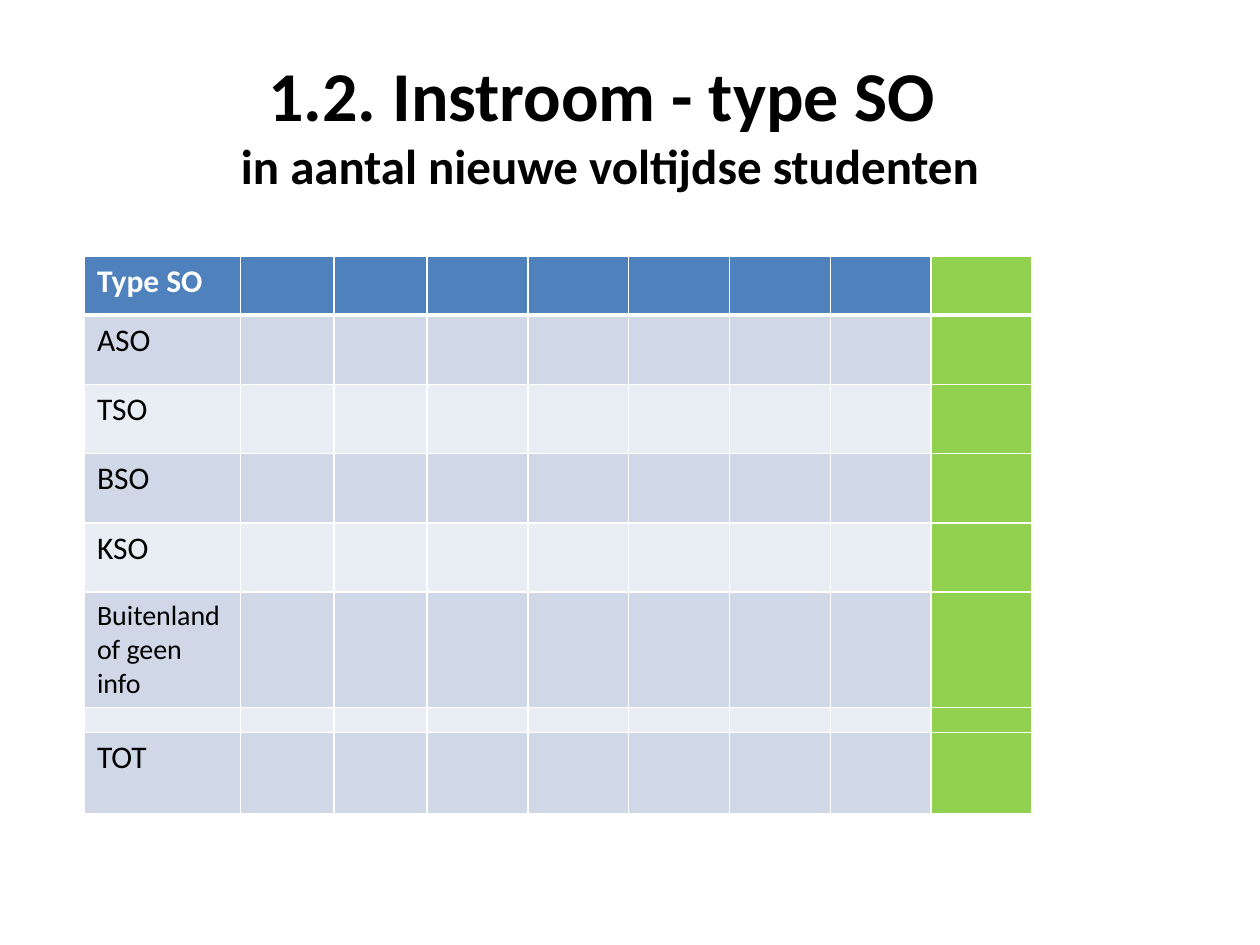
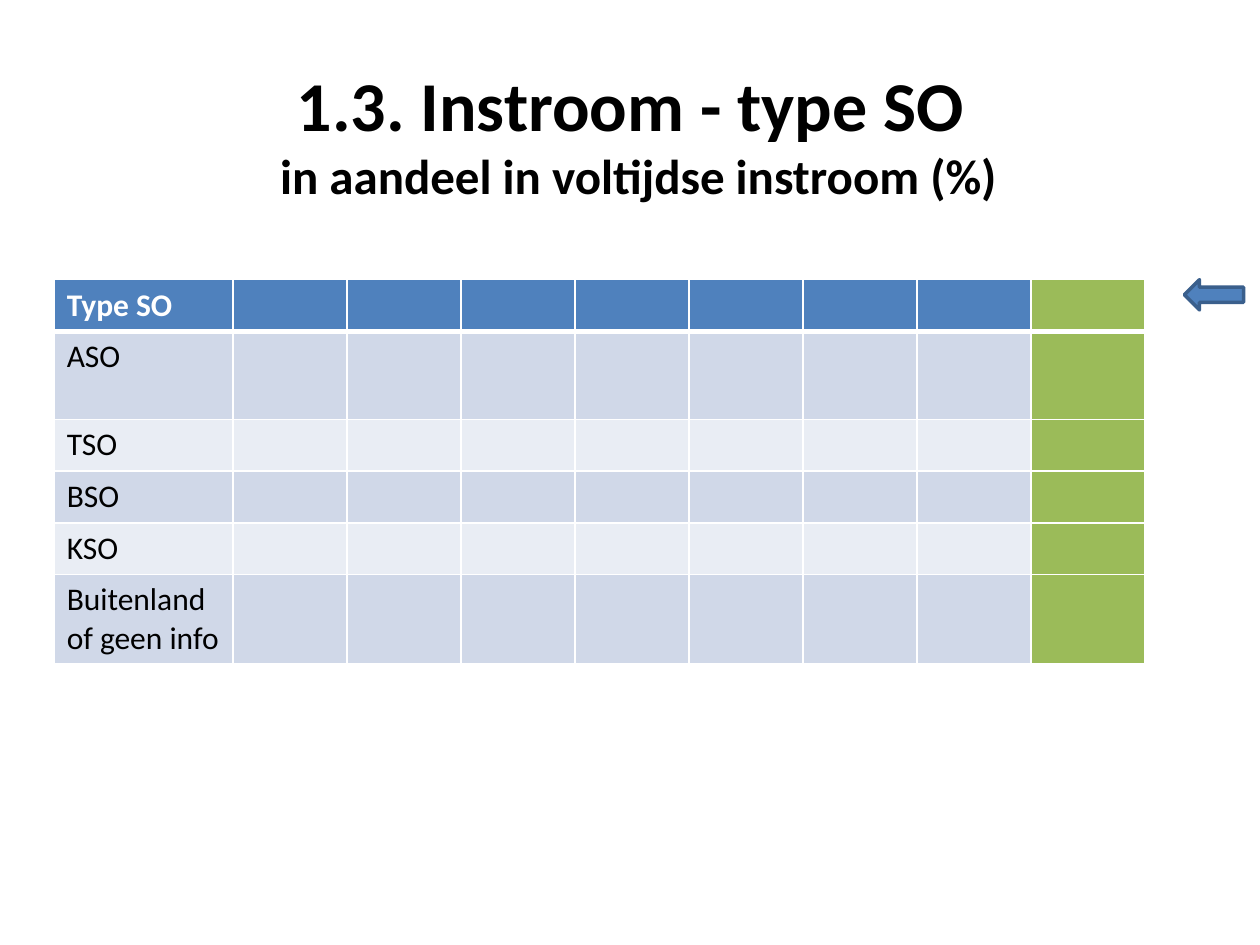
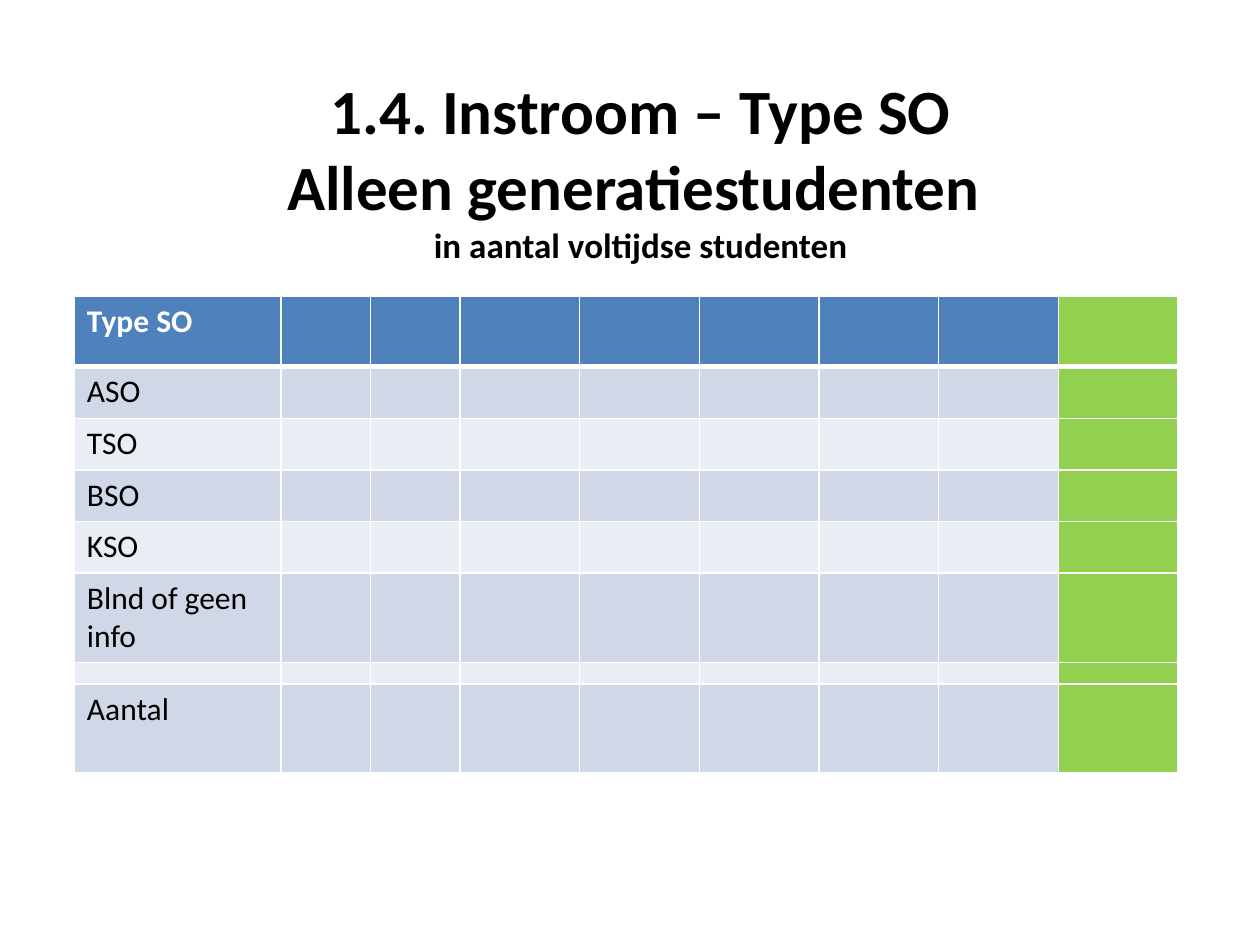
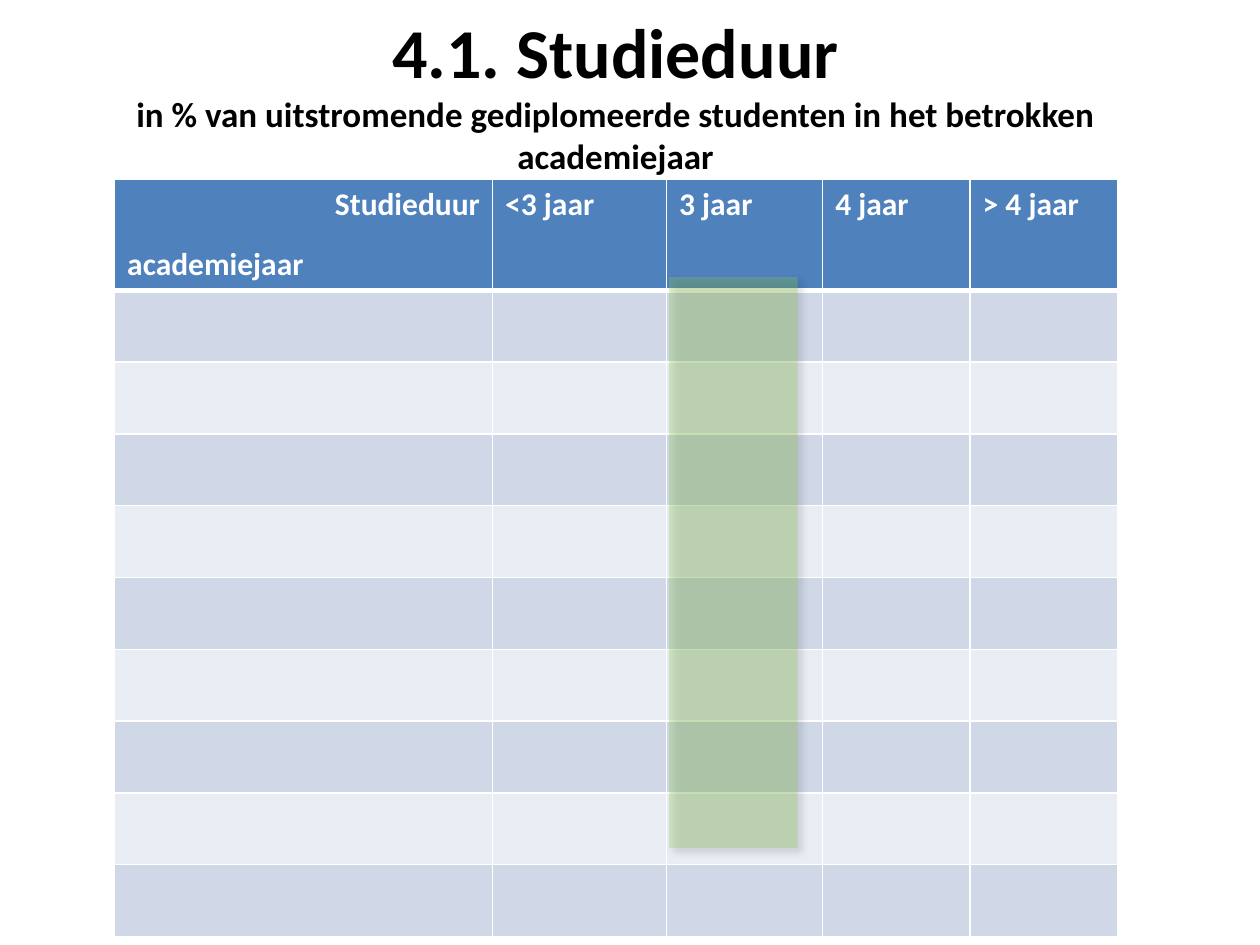
import dataclasses

import lxml.etree
import pptx
import pptx.dml.color
import pptx.enum.shapes
import pptx.enum.text
import pptx.oxml.ns
import pptx.util

Inches = pptx.util.Inches
Pt = pptx.util.Pt
qn = pptx.oxml.ns.qn
ALIGN = pptx.enum.text.PP_ALIGN
SHAPE = pptx.enum.shapes.MSO_SHAPE


@dataclasses.dataclass(frozen=True)
class Theme:
    font: str = "Calibri"
    text: str = "000000"
    white: str = "FFFFFF"
    blue: str = "4F81BD"
    blue_edge: str = "3A5F8C"
    bands: tuple = ("D0D8E8", "E9EDF4")
    lime: str = "92D050"
    olive: str = "9BBB59"
    title: int = 40
    long_title: int = 36
    subtitle: int = 28
    small_subtitle: int = 20
    cell: int = 18
    small_cell: int = 16
    empty_cell: int = 4
    grid: int = 1
    header_rule: int = 3


def rgb(value):
    return pptx.dml.color.RGBColor.from_string(value)


def sub(parent, tag, **attrs):
    return lxml.etree.SubElement(parent, qn(tag), attrs)


class Deck:
    def __init__(self, theme):
        self.theme = theme
        self.prs = pptx.Presentation()
        self.prs.slide_width, self.prs.slide_height = Inches(10), Inches(7.5)

    def slide(self, box, *lines):
        """Start a slide; each title line is a (text, size) pair."""
        self.s = self.prs.slides.add_slide(self.prs.slide_layouts[5])
        sp = self.s.shapes.title
        sp.left, sp.top, sp.width, sp.height = map(Inches, box)
        tf = sp.text_frame
        tf.word_wrap = True
        tf.auto_size = pptx.enum.text.MSO_AUTO_SIZE.NONE
        tf.vertical_anchor = pptx.enum.text.MSO_ANCHOR.TOP
        for i, (text, size) in enumerate(lines):
            p = tf.add_paragraph() if i else tf.paragraphs[0]
            p.alignment = ALIGN.CENTER
            p.space_before = p.space_after = Pt(0)
            self.run(p, text, size, self.theme.text, True)

    def run(self, p, text, size, color, bold=False):
        r = p.add_run()
        r.text = text
        r.font.name = self.theme.font
        r.font.size = Pt(size)
        r.font.bold = bold
        r.font.color.rgb = rgb(color)

    def table(self, left, top, cols, rows, texts, accent=None, sizes=None):
        """Draw a banded table; texts maps (row, column) to wording."""
        t = self.theme
        tbl = self.s.shapes.add_table(
            len(rows), len(cols), Inches(left), Inches(top),
            Inches(sum(cols)), Inches(sum(rows))).table
        for col, width in zip(tbl.columns, cols):
            col.width = Inches(width)
        for i, (row, height) in enumerate(zip(tbl.rows, rows)):
            row.height = Inches(height)
            for j, cell in enumerate(row.cells):
                last = j == len(cols) - 1
                fill = t.bands[(i - 1) % 2] if i else t.blue
                cell.fill.solid()
                cell.fill.fore_color.rgb = rgb(accent if accent and last else fill)
                self.borders(cell, i)
                p = cell.text_frame.paragraphs[0]
                if (i, j) in texts:
                    size = (sizes or {}).get((i, j), t.cell)
                    self.run(p, texts[i, j], size, t.text if i else t.white, not i)
                else:
                    sub(p._p, "a:endParaRPr", sz=str(t.empty_cell * 100))
        return tbl

    def borders(self, cell, row):
        t = self.theme
        tc_pr = cell._tc.get_or_add_tcPr()
        widths = {"L": t.grid, "R": t.grid,
                  "T": t.header_rule if row == 1 else t.grid,
                  "B": t.header_rule if row == 0 else t.grid}
        for i, (side, width) in enumerate(widths.items()):
            ln = sub(tc_pr, f"a:ln{side}", w=str(Pt(width)))
            sub(sub(ln, "a:solidFill"), "a:srgbClr", val=t.white)
            tc_pr.insert(i, ln)

    def shape(self, kind, box, fill, line=None):
        sp = self.s.shapes.add_shape(kind, *map(Inches, box))
        sp.shadow.inherit = False
        sp.fill.solid()
        sp.fill.fore_color.rgb = rgb(fill)
        if line:
            sp.line.color.rgb = rgb(line)
            sp.line.width = Pt(2)
        else:
            sp.line.fill.background()
        return sp

    def highlight(self, box, fill):
        """Draw a see-through marker with a soft shadow."""
        sp_pr = self.shape(SHAPE.RECTANGLE, box, fill)._element.spPr
        sub(sp_pr.find(qn("a:solidFill"))[0], "a:alpha", val="29000")
        shadow = sub(sp_pr.find(qn("a:effectLst")), "a:outerShdw",
                     blurRad=str(Pt(4)), dist=str(Pt(3)), dir=str(45 * 60000),
                     algn="tl", rotWithShape="0")
        sub(sub(shadow, "a:srgbClr", val=self.theme.text), "a:alpha", val="40000")


def first_column(*labels):
    return {(i, 0): label for i, label in enumerate(labels) if label}


def main():
    t = Theme()
    deck = Deck(t)
    types = ("Type SO", "ASO", "TSO", "BSO", "KSO")
    abroad = "Buitenland of geen info"

    # Intake by type, numbers
    deck.slide((1.22, 0.36, 7.24, 1.25),
               ("1.2. Instroom - type SO ", t.title),
               ("in aantal nieuwe voltijdse studenten", t.subtitle))
    deck.table(0.67, 2.03, [1.24] + [0.74] * 2 + [0.8] * 6,
               [0.47] + [0.55] * 4 + [0.91, 0.2, 0.64],
               first_column(*types, abroad, None, "TOT"),
               t.lime, {(5, 0): t.small_cell})

    # Intake by type, share
    deck.slide((1.72, 0.44, 6.69, 1.25),
               ("1.3. Instroom - type SO ", t.title),
               ("in aandeel in voltijdse instroom (%)", t.subtitle))
    deck.table(0.43, 2.22, [1.42] + [0.905] * 8,
               [0.41, 0.7] + [0.41] * 3 + [0.7],
               first_column(*types, abroad), t.olive)
    deck.shape(SHAPE.LEFT_ARROW, (9.4, 2.22, 0.47, 0.24), t.blue, t.blue_edge)

    # First-time students only
    deck.slide((0.83, 0.52, 8.51, 1.65),
               ("1.4. Instroom – Type SO", t.long_title),
               ("Alleen generatiestudenten ", t.long_title),
               ("in aantal voltijdse studenten", t.small_subtitle))
    deck.table(0.59, 2.35, [1.64] + [0.71] * 2 + [0.95] * 6,
               [0.56] + [0.41] * 4 + [0.7, 0.17, 0.7],
               first_column(*types, "Blnd of geen info", None, "Aantal"), t.lime)

    # Study duration
    deck.slide((0.67, 0.02, 8.43, 1.99),
               ("4.1. Studieduur", t.title),
               ("in % van uitstromende gediplomeerde studenten in het betrokken "
                "academiejaar", t.small_subtitle))
    heads = ("Studieduur", "<3 jaar", "3 jaar", "4 jaar", "> 4 jaar")
    tbl = deck.table(0.91, 1.42, [3, 1.38, 1.24, 1.17, 1.17],
                     [0.86] + [0.57] * 9,
                     {(0, j): head for j, head in enumerate(heads)})
    tf = tbl.cell(0, 0).text_frame
    tf.paragraphs[0].alignment = ALIGN.RIGHT
    p = tf.add_paragraph()
    p.space_before = Pt(12.5)
    deck.run(p, "academiejaar", t.cell, t.white, True)
    deck.highlight((5.31, 2.2, 1.02, 4.53), t.lime)

    deck.prs.save("out.pptx")


if __name__ == "__main__":
    main()
